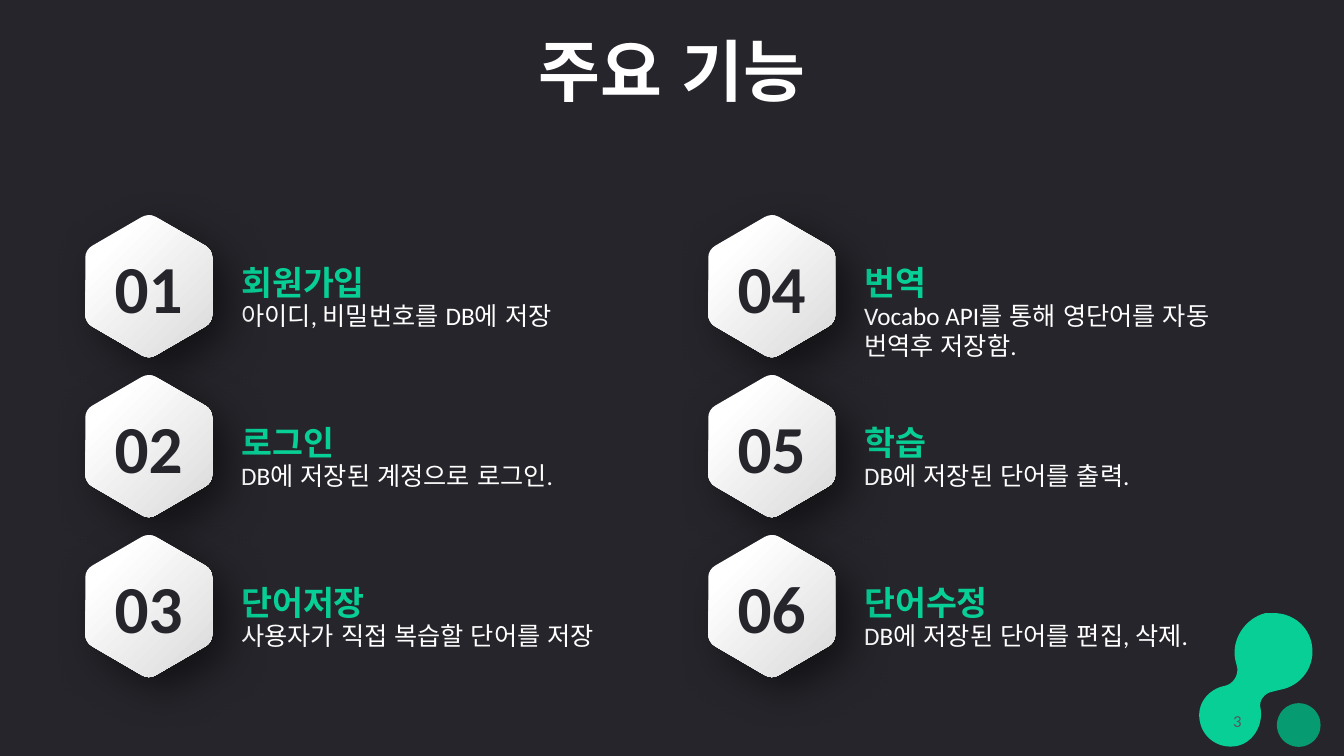
import lxml.etree
import pptx
import pptx.dml.color
import pptx.enum.lang
import pptx.enum.shapes
import pptx.enum.text
import pptx.oxml.ns
import pptx.util

Cm = pptx.util.Cm
qn = pptx.oxml.ns.qn
ANCHOR = pptx.enum.text.MSO_ANCHOR
ALIGN = pptx.enum.text.PP_ALIGN
FONT = "Calibri"
COLORS = {
    "background": "25252B",
    "white": "FFFFFF",
    "green": "08CF96",
    "dark_green": "069B71",
    "grey": "575765",
    "shade": "DAD9D9",
    "shadow": "000000",
}
FEATURES = [
    ("회원가입", "아이디, 비밀번호를 DB에 저장", 9.22),
    ("로그인", "DB에 저장된 계정으로 로그인.", 9.22),
    ("단어저장", "사용자가 직접 복습할 단어를 저장", 10.59),
    ("번역", "Vocabo API를 통해 영단어를 자동 번역후 저장함.", 9.22),
    ("학습", "DB에 저장된 단어를 출력.", 9.22),
    ("단어수정", "DB에 저장된 단어를 편집, 삭제.", 9.22),
]
ROWS = 3
HEXAGON_START = (1.6, 0)
HEXAGON_SEGMENTS = [
    [(1.66, 0), (1.72, 0.02), (1.78, 0.05)],
    [(3.02, 0.77)],
    [(3.13, 0.83), (3.2, 0.95), (3.2, 1.07)],
    [(3.2, 2.51)],
    [(3.2, 2.63), (3.13, 2.75), (3.02, 2.81)],
    [(1.78, 3.53)],
    [(1.67, 3.6), (1.53, 3.6), (1.42, 3.53)],
    [(0.18, 2.81)],
    [(0.07, 2.75), (0, 2.63), (0, 2.51)],
    [(0, 1.07)],
    [(0, 0.95), (0.07, 0.83), (0.18, 0.77)],
    [(1.42, 0.05)],
    [(1.48, 0.02), (1.54, 0), (1.6, 0)],
]
BLOB_START = (2.92, 0.79)
BLOB_SEGMENTS = [
    [(3.02, 1.32), (2.67, 1.83), (2.13, 1.93)],
    [(1.93, 1.98)],
    [(1.73, 2.01), (1.57, 2.21), (1.63, 2.41)],
    [(1.7, 2.84), (1.42, 3.28), (1.02, 3.35)],
    [(0.58, 3.43), (0.18, 3.15), (0.1, 2.74)],
    [(0, 2.31), (0.3, 1.91), (0.74, 1.83)],
    [(0.94, 1.78), (1.07, 1.57), (1.04, 1.37)],
    [(0.99, 1.17)],
    [(0.89, 0.66), (1.24, 0.13), (1.75, 0)],
    [(1.83, 0), (1.91, 0), (1.96, 0)],
    [(2.44, 0), (2.84, 0.33), (2.92, 0.79)],
]


def rgb(name):
    """Return the named colour."""
    return pptx.dml.color.RGBColor.from_string(COLORS[name])


def add_outline(shapes, start, segments, left, top):
    """Draw a closed outline of lines (one point) and curves (three points)."""
    points = [start] + [point for segment in segments for point in segment]
    places = [(Cm(left + x), Cm(top + y)) for x, y in points]
    builder = shapes.build_freeform(*places[0])
    builder.add_line_segments(places[1:], close=True)
    shape = builder.convert_to_shape()
    lines = iter(list(shape.element.spPr.iter(qn("a:lnTo"))))
    for segment in segments:
        parts = [next(lines) for _ in segment]
        if len(parts) == 3:
            parts[0].addprevious(curve := lxml.etree.Element(qn("a:cubicBezTo")))
            for part in parts:
                curve.append(part[0])
                part.getparent().remove(part)
    shape.line.fill.background()
    shape.shadow.inherit = False
    return shape


def write_text(shape, text, size, color, bold=False, align=ALIGN.LEFT, anchor=ANCHOR.TOP, insets=None):
    """Put one formatted paragraph into a shape."""
    frame = shape.text_frame
    frame.word_wrap = True
    frame.vertical_anchor = anchor
    if insets:
        frame.margin_left, frame.margin_top, frame.margin_right, frame.margin_bottom = map(Cm, insets)
    frame.text = text
    paragraph = frame.paragraphs[0]
    paragraph.alignment = align
    paragraph.font.name = FONT
    paragraph.font.size = pptx.util.Pt(size)
    paragraph.font.bold = bold
    paragraph.font.color.rgb = rgb(color)
    paragraph.font.language_id = pptx.enum.lang.MSO_LANGUAGE_ID.KOREAN
    return paragraph


def add_decoration(slide, left, top):
    """Draw the green drops in the corner."""
    group = slide.shapes.add_group_shape()
    blob = add_outline(group.shapes, BLOB_START, BLOB_SEGMENTS, left, top)
    blob.fill.solid()
    blob.fill.fore_color.rgb = rgb("green")
    circle = group.shapes.add_shape(
        pptx.enum.shapes.MSO_SHAPE.OVAL, Cm(left + 2.04), Cm(top + 2.27), Cm(1.1), Cm(1.1)
    )
    circle.fill.solid()
    circle.fill.fore_color.rgb = rgb("dark_green")
    circle.line.fill.background()
    circle.shadow.inherit = False


def add_title(slide, left, top, width, height):
    """Place and format the title."""
    title = slide.shapes.title
    title.left, title.top, title.width, title.height = map(Cm, (left, top, width, height))
    paragraph = write_text(title, "주요 기능", 48, "white", True, ALIGN.CENTER, ANCHOR.MIDDLE)
    paragraph.line_spacing = 0.9


def add_page_number(slide, left, top, width, height):
    """Write the page number."""
    box = slide.shapes.add_textbox(*map(Cm, (left, top, width, height)))
    write_text(box, "3", 12, "grey", align=ALIGN.RIGHT, anchor=ANCHOR.MIDDLE)


def add_soft_shadow(shape):
    """Give a shape a blurred shadow to the lower right."""
    effects = shape.element.spPr.find(qn("a:effectLst"))
    shadow = lxml.etree.SubElement(
        effects, qn("a:outerShdw"), blurRad=str(pptx.util.Pt(30)), dist=str(pptx.util.Pt(14)),
        dir="2700000", algn="tl", rotWithShape="0",
    )
    color = lxml.etree.SubElement(shadow, qn("a:srgbClr"), val=COLORS["shadow"])
    lxml.etree.SubElement(color, qn("a:alpha"), val="50000")


def add_badge(slide, number, left, top):
    """Draw a numbered hexagon."""
    badge = add_outline(slide.shapes, HEXAGON_START, HEXAGON_SEGMENTS, left, top)
    badge.fill.gradient()
    badge.fill.gradient_angle = 315
    for stop, color, position in zip(badge.fill.gradient_stops, ("white", "shade"), (0.2, 1)):
        stop.color.rgb = rgb(color)
        stop.position = position
    add_soft_shadow(badge)
    insets = (0.15, 0.08, 0.15, 0.08)
    write_text(badge, f"{number:02}", 48, "background", True, ALIGN.CENTER, ANCHOR.MIDDLE, insets)


def add_feature_text(slide, heading, description, left, top, width):
    """Place a heading with its description."""
    group = slide.shapes.add_group_shape()
    heading_box = group.shapes.add_textbox(Cm(left), Cm(top), Cm(width), Cm(1.54))
    write_text(heading_box, heading, 24, "green", True, anchor=ANCHOR.BOTTOM, insets=(0.25, 0.5, 0.25, 0))
    description_box = group.shapes.add_textbox(Cm(left), Cm(top + 1.49), Cm(width), Cm(0.77))
    write_text(description_box, description, 18, "white", insets=(0.25, 0, 0.25, 0))
    for box in (heading_box, description_box):
        box.text_frame.auto_size = pptx.enum.text.MSO_AUTO_SIZE.SHAPE_TO_FIT_TEXT


def add_features(slide, left, top, column_step, row_step):
    """Lay out the features column by column, with the badges in front."""
    places = []
    for index, (heading, description, width) in enumerate(FEATURES):
        column, row = divmod(index, ROWS)
        x, y = left + column * column_step, top + row * row_step
        places.append((x, y))
        add_feature_text(slide, heading, description, x + 3.68, y + 0.66, width)
    for number, (x, y) in enumerate(places, 1):
        add_badge(slide, number, x, y)


def main():
    """Build and save the presentation."""
    presentation = pptx.Presentation()
    presentation.slide_width, presentation.slide_height = Cm(33.87), Cm(19.05)
    slide = presentation.slides.add_slide(presentation.slide_layouts[5])
    slide.background.fill.solid()
    slide.background.fill.fore_color.rgb = rgb("background")
    add_decoration(slide, 30.14, 15.45)
    add_title(slide, 2.33, 0.05, 29.21, 3.68)
    add_page_number(slide, 23.92, 17.66, 7.62, 1.01)
    add_features(slide, 2.15, 5.42, 15.7, 4.03)
    presentation.save("out.pptx")


if __name__ == "__main__":
    main()
